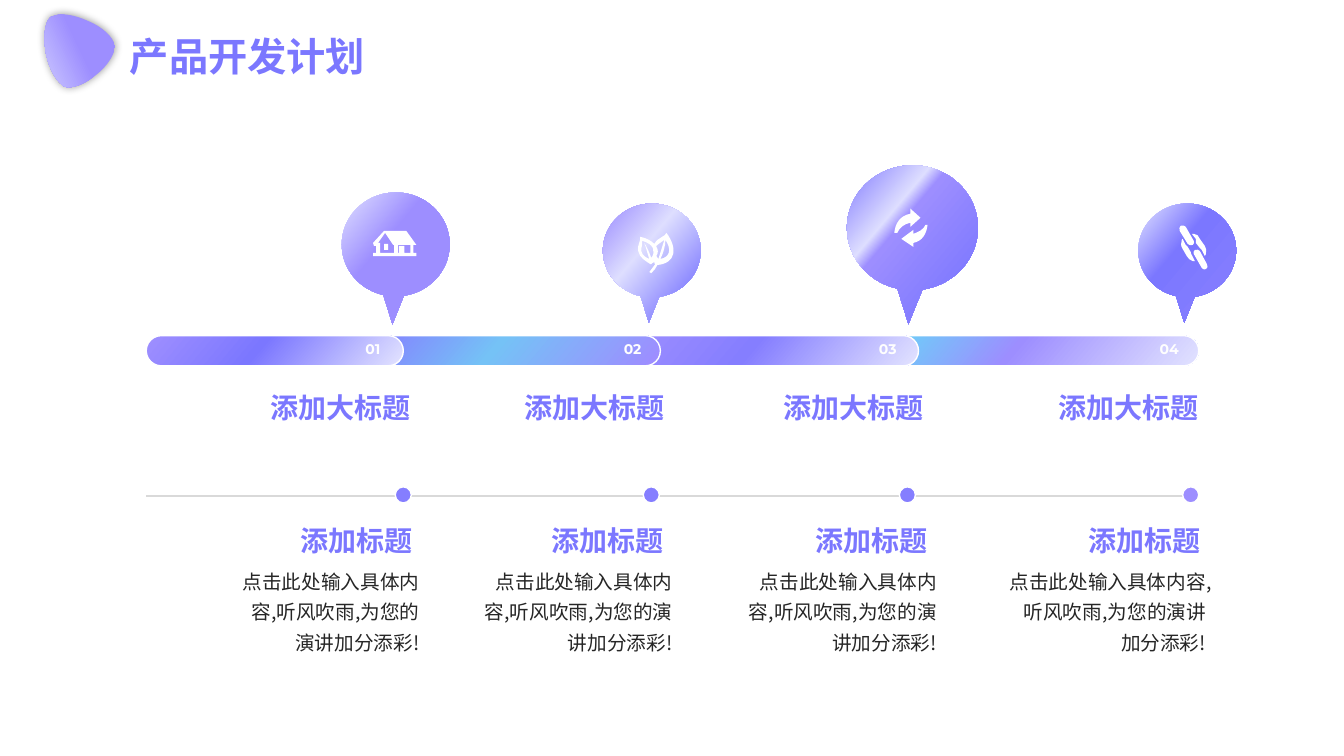
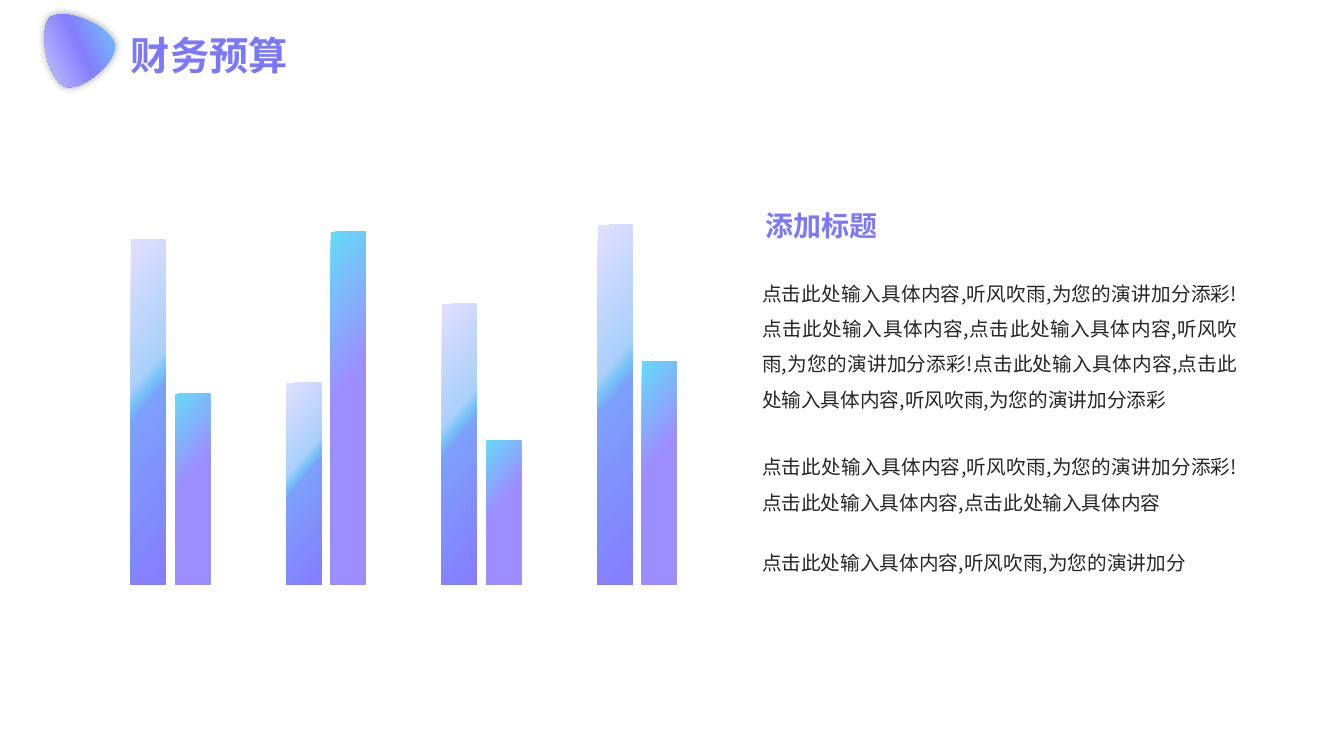
import math
import pptx
import pptx.chart.data
import pptx.dml.color
import pptx.enum.chart
import pptx.enum.shapes
import pptx.enum.text
import pptx.oxml
import pptx.oxml.ns
import pptx.util
from collections import namedtuple

Inches = pptx.util.Inches
Pt = pptx.util.Pt
RGB = pptx.dml.color.RGBColor
Form = pptx.enum.shapes.MSO_SHAPE
Align = pptx.enum.text.PP_ALIGN
qn = pptx.oxml.ns.qn

WHITE = RGB(0xFF, 0xFF, 0xFF)
PEARL = RGB(0xFE, 0xFE, 0xFE)
INK = RGB(0x26, 0x26, 0x26)
BLACK = RGB(0, 0, 0)
GRAY = RGB(0xD9, 0xD9, 0xD9)
INDIGO = RGB(0x7B, 0x77, 0xFF)
IRIS = RGB(0x85, 0x7E, 0xFF)
LILAC = RGB(0x9D, 0x8E, 0xFF)
PALE = RGB(0xDE, 0xDE, 0xFF)
CYAN = RGB(0x65, 0xDA, 0xF7)
SKY = RGB(0x75, 0xC2, 0xF6)
MIST = RGB(0xAA, 0xD0, 0xFB)
AZURE = RGB(0x7D, 0xA0, 0xFB)

SANS = "Noto Sans CJK SC"
DIGIT = "Montserrat"
SPACE = 'xmlns:a="http://schemas.openxmlformats.org/drawingml/2006/main"'
FINE = 20

DROP = [[(71, 31), (72, 38, 65, 51, 52, 61), (42, 69, 32, 73, 25, 73),
         (23, 73, 19, 72, 18, 70), (12, 65, 6, 54, 3, 41), (0, 26, 1, 13, 5, 6),
         (6, 4, 8, 2, 11, 2), (18, -1, 31, 1, 44, 7), (59, 13, 69, 23, 71, 31)]]
HOUSE = [
    [(11, 0), (33, 0), (43, 14), (40, 14), (40, 22), (43, 22), (43, 25),
     (0, 25), (0, 22), (3, 22), (3, 15), (1, 15), (0, 12)],
    [(37, 22), (37, 14), (25, 14), (25, 22), (26, 22), (26, 15), (31, 15), (31, 22)],
    [(21, 22), (21, 14), (20, 14), (12, 2), (5, 12), (7, 12), (7, 22)],
    [(11, 13), (11, 19), (15, 19), (15, 13)]]
LEAF = [
    [(18, 31), (17, 31, 17, 30, 17, 29), (16, 29, 16, 30, 15, 30), (14, 31), (13, 31),
     (10, 29, 2, 25, 1, 18), (0, 11, 4, 8, 3, 4), (9, 5, 14, 8, 17, 11),
     (21, 4, 28, 4, 29, 0), (40, 15, 39, 30, 20, 32), (18, 35, 17, 38, 14, 40),
     (12, 39), (14, 36, 16, 34, 18, 31)],
    [(19, 23), (20, 24, 20, 25, 21, 26), (23, 20, 25, 13, 27, 7),
     (25, 9, 22, 10, 19, 13), (19, 14), (21, 17, 21, 20, 19, 23)],
    [(12, 26), (10, 20, 9, 15, 7, 10), (9, 13, 12, 19, 14, 25), (19, 18, 16, 11, 5, 8),
     (6, 11, 4, 13, 4, 18), (5, 23, 10, 25, 12, 26)],
    [(23, 26), (33, 24, 34, 16, 28, 7), (28, 13, 26, 20, 23, 26)]]
CYCLE = [
    [(26, 9), (16, 18), (16, 14), (10, 15, 5, 19, 3, 24), (0, 24),
     (1, 14, 6, 7, 16, 5), (16, 0)],
    [(19, 25), (19, 21), (7, 30), (19, 38), (19, 34), (28, 32, 32, 25, 33, 16),
     (31, 16), (29, 21, 24, 23, 19, 25)]]
CHAIN = [
    [(13, 9), (15, 9), (18, 9, 20, 11, 21, 14), (26, 21), (27, 23, 28, 26, 27, 29),
     (27, 30, 26, 30, 26, 31), (23, 25), (22, 24, 21, 23, 21, 23), (17, 18), (17, 14)],
    [(16, 25), (15, 26, 14, 28, 15, 29), (23, 43), (24, 44, 26, 45, 27, 44),
     (29, 43, 29, 41, 28, 39), (21, 26), (20, 25, 18, 24, 16, 25)],
    [(2, 1), (1, 2, 0, 4, 1, 6), (9, 19), (10, 20, 12, 21, 14, 20),
     (15, 19, 16, 17, 15, 16), (7, 2), (6, 1, 4, 0, 2, 1)],
    [(16, 36), (13, 30), (13, 30, 12, 29, 12, 27), (9, 22), (8, 22, 8, 21, 7, 20),
     (4, 14), (3, 14, 3, 15, 3, 16), (2, 18, 2, 21, 4, 24), (8, 31),
     (9, 34, 12, 35, 14, 36)]]

Stage = namedtuple("Stage", "bar tint pin glow icon spot mark dot hue head name body")
STAGES = [
    Stage((1.45, 2.55), [(2, LILAC), (44, INDIGO), (97, PALE)],
          (3.39, 1.91, 1.07, 1.03), [(2, PALE), (44, LILAC), (97, LILAC)],
          HOUSE, (3.7, 2.29), 3.36, 3.92, IRIS, (2.58, 1.75), 2.88, (2.24, 2.02)),
    Stage((3.61, 2.94), [(2, IRIS), (44, SKY), (97, LILAC)],
          (5.98, 2.02, 0.97, 0.93), [(2, LILAC), (44, PALE), (97, INDIGO)],
          LEAF, (6.32, 2.31), 5.95, 6.38, IRIS, (5.1, 1.73), 5.37, (4.64, 2.13)),
    Stage((6.16, 2.95), [(2, LILAC), (44, IRIS), (97, PALE)],
          (8.4, 1.64, 1.3, 1.24), [(2, IRIS), (36, PALE), (44, LILAC), (97, INDIGO)],
          CYCLE, (8.87, 2.07), 8.48, 8.92, IRIS, (7.67, 1.66), 7.99, (7.32, 2.07)),
    Stage((8.63, 3.26), [(2, CYAN), (44, LILAC), (97, PALE)],
          (11.29, 2.02, 0.97, 0.93), [(2, PALE), (44, INDIGO), (97, IRIS)],
          CHAIN, (11.69, 2.23), 11.28, 11.73, LILAC, (10.4, 1.65), 10.7, (9.88, 2.18)),
]
INTRO = "点击此处输入具体内容,"
CHEER = "听风吹雨,为您的演讲加分"
WISH = CHEER + "添彩!"
NOTES = [
    (2.63, 1.51, INTRO + WISH + INTRO * 2 + WISH + INTRO * 2 + CHEER + "添彩"),
    (4.35, 0.81, INTRO + WISH + INTRO + INTRO.rstrip(",")),
    (5.3, 0.45, INTRO + CHEER),
]


def blend(part, stops):
    """Fill a shape or a chart series with a slanted gradient."""
    owner = part.format if hasattr(part, "format") else part
    owner.fill.solid()
    props = part._element.spPr
    marks = "".join(f'<a:gs pos="{at * 1000}"><a:srgbClr val="{tone}"/></a:gs>'
                    for at, tone in stops)
    wash = pptx.oxml.parse_xml(
        f'<a:gradFill {SPACE} rotWithShape="1"><a:gsLst>{marks}</a:gsLst>'
        f'<a:lin ang="{40 * 60000}" scaled="0"/></a:gradFill>')
    props.replace(props.find(qn("a:solidFill")), wash)


def text(slide, box, words, size=14, color=INK, bold=False, font=SANS,
         align=Align.LEFT, space=None, wrap=True, middle=False):
    """Add a text box with one formatted paragraph."""
    frame = slide.shapes.add_textbox(*map(Inches, box)).text_frame
    frame.word_wrap = wrap
    frame.auto_size = pptx.enum.text.MSO_AUTO_SIZE.SHAPE_TO_FIT_TEXT
    if middle:
        frame.vertical_anchor = pptx.enum.text.MSO_ANCHOR.MIDDLE
    line = frame.paragraphs[0]
    line.alignment = align
    if space:
        line.line_spacing = space
    run = line.add_run()
    run.text = words
    run.font.size, run.font.bold, run.font.name = Pt(size), bold, font
    run.font.color.rgb = color
    face = pptx.oxml.parse_xml(f'<a:ea {SPACE} typeface="{font}"/>')
    run.font._element.find(qn("a:latin")).addnext(face)


def solid(shape, color):
    """Fill a shape with one colour."""
    shape.fill.solid()
    shape.fill.fore_color.rgb = color


def block(slide, kind, box, edge=None):
    """Add a preset shape without shadow."""
    shape = slide.shapes.add_shape(kind, *map(Inches, box))
    shape.shadow.inherit = False
    if edge is None:
        shape.line.fill.background()
    else:
        shape.line.color.rgb, shape.line.width = edge, Pt(1)
    return shape


def spin(point, hub, turn):
    """Turn a point back around a hub and scale it to pen units."""
    x, y = point[0] - hub[0], point[1] - hub[1]
    c, s = math.cos(math.radians(turn)), math.sin(math.radians(turn))
    return (round((hub[0] + x * c + y * s) * FINE),
            round((hub[1] - x * s + y * c) * FINE))


def bend(shape, loops):
    """Join each three points of a curve step into one Bezier segment."""
    route = shape._element.spPr.find(".//" + qn("a:path"))
    nodes = iter(list(route))
    for loop in loops:
        next(nodes)
        for step in loop[1:]:
            parts = [next(nodes) for _ in range(len(step) // 2)]
            if len(parts) == 3:
                curve = pptx.oxml.parse_xml(f"<a:cubicBezTo {SPACE}/>")
                parts[0].addprevious(curve)
                for part in parts:
                    curve.append(part[0])
                    route.remove(part)
        next(nodes)


def sketch(slide, loops, left, top, hub=(0, 0), turn=0):
    """Draw closed loops, given in hundredths of an inch, as one freeform."""
    tracks = [[spin(step[i:i + 2], hub, turn) for step in loop
               for i in range(0, len(step), 2)] for loop in loops]
    pen = slide.shapes.build_freeform(*tracks[0][0], scale=Inches(0.01) / FINE)
    for i, points in enumerate(tracks):
        if i:
            pen.move_to(*points[0])
        pen.add_line_segments(points[1:], close=True)
    shape = pen.convert_to_shape(Inches(left), Inches(top))
    bend(shape, loops)
    shape.rotation = turn
    shape.shadow.inherit = False
    shape.line.fill.background()
    return shape


def banner(slide, box, words, stops):
    """Place the slide title and its drop."""
    text(slide, box, words, size=28, color=INDIGO, bold=True, wrap=False)
    drop = sketch(slide, DROP, 0.43, 0.15, hub=(30, 38), turn=114.6)
    blend(drop, stops)
    glow = pptx.oxml.parse_xml(
        f'<a:outerShdw {SPACE} blurRad="{Pt(6)}" dist="0" algn="ctr" rotWithShape="0">'
        f'<a:srgbClr val="{BLACK}"><a:alpha val="40000"/></a:srgbClr></a:outerShdw>')
    drop._element.spPr.find(qn("a:effectLst")).append(glow)


def track(slide, top):
    """Draw the bars from right to left so that each covers the next."""
    for stage in reversed(STAGES):
        left, width = stage.bar
        bar = block(slide, Form.ROUNDED_RECTANGLE, (left, top, width, 0.3), WHITE)
        bar.adjustments[0] = 0.5
        blend(bar, stage.tint)


def rule(slide, left, right, top):
    """Draw the thin line below the bars."""
    line = slide.shapes.add_connector(
        pptx.enum.shapes.MSO_CONNECTOR.STRAIGHT,
        *map(Inches, (left, top, right, top)))
    line.line.color.rgb, line.line.width = GRAY, Pt(1)
    line._element.spPr.append(pptx.oxml.parse_xml(f"<a:effectLst {SPACE}/>"))


def column(slide, stage, count, top):
    """Place the pin, number, dot and texts of one stage."""
    pin = block(slide, Form.OVAL_CALLOUT, stage.pin)
    pin.adjustments[0], pin.adjustments[1] = -0.03, 0.77
    blend(pin, stage.glow)
    solid(sketch(slide, stage.icon, *stage.spot), WHITE)
    text(slide, (stage.mark, top, 0.51, 0.27), f"{count:02}", size=10, color=PEARL,
         bold=True, font=DIGIT, align=Align.RIGHT, middle=True)
    solid(block(slide, Form.OVAL, (stage.dot, top + 1.5, 0.16, 0.16), WHITE), stage.hue)
    left, width = stage.head
    text(slide, (left, top + 0.5, width, 0.44), "添加大标题",
         size=20, color=INDIGO, bold=True)
    left, width = stage.body
    text(slide, (left, top + 2.2, width, 1.02), INTRO + WISH,
         align=Align.RIGHT, space=1.3)
    text(slide, (stage.name, top + 1.81, 1.5, 0.44), "添加标题",
         size=20, color=INDIGO, bold=True)


def graph(slide, box):
    """Add the clustered column chart."""
    data = pptx.chart.data.CategoryChartData()
    data.categories = ["1", "2", "3", "4"]
    data.add_series("Series 1", (96, 56, 78, 100))
    data.add_series("Series 2", (53, 98, 40, 62))
    kind = pptx.enum.chart.XL_CHART_TYPE.COLUMN_CLUSTERED
    chart = slide.shapes.add_chart(kind, *map(Inches, box), data).chart
    chart.has_legend = chart.has_title = False
    chart.font.name, chart.font.size = SANS, Pt(10)
    chart.font.color.rgb = BLACK
    chart.category_axis.visible = False
    axis = chart.value_axis
    axis.visible = axis.has_major_gridlines = False
    axis.minimum_scale, axis.maximum_scale = 0, 110
    plot = chart.plots[0]
    plot.gap_width, plot.overlap, plot.vary_by_categories = 219, -27, False
    blend(plot.series[0], [(2, PALE), (39, MIST), (44, SKY), (48, AZURE), (97, IRIS)])
    blend(plot.series[1], [(0, CYAN), (44, LILAC), (100, LILAC)])
    area = chart._chartSpace.chart.plotArea
    for old in area.findall(qn("c:layout")):
        area.remove(old)
    sides = "".join(f'<c:{key} val="{value}"/>' for key, value in (
        ("layoutTarget", "inner"), ("xMode", "edge"), ("yMode", "edge"),
        ("x", 0.02), ("y", 0.03), ("w", 0.96), ("h", 0.95)))
    area.insert(0, pptx.oxml.parse_xml(
        '<c:layout xmlns:c="http://schemas.openxmlformats.org/drawingml/2006/chart">'
        f"<c:manualLayout>{sides}</c:manualLayout></c:layout>"))


def plan(slide):
    """Build the development plan slide."""
    track(slide, 3.33)
    rule(slide, 1.45, 11.89, 4.92)
    for count, stage in enumerate(STAGES, 1):
        column(slide, stage, count, 3.33)
    banner(slide, (1.19, 0.27, 2.56, 0.57), "产品开发计划",
           [(2, LILAC), (44, LILAC), (97, PALE)])


def budget(slide):
    """Build the budget slide."""
    graph(slide, (0.79, 1.75, 6.43, 4.13))
    text(slide, (7.49, 2.02, 1.5, 0.44), "添加标题", size=20, color=INDIGO, bold=True)
    for top, height, words in NOTES:
        text(slide, (7.46, top, 4.91, height), words, align=Align.JUSTIFY, space=1.5)
    banner(slide, (1.2, 0.26, 1.77, 0.57), "财务预算",
           [(2, CYAN), (44, IRIS), (97, PALE)])


def main():
    """Build and save the deck."""
    deck = pptx.Presentation()
    deck.slide_width, deck.slide_height = Inches(13.33), Inches(7.5)
    for build in (plan, budget):
        build(deck.slides.add_slide(deck.slide_layouts[6]))
    deck.save("out.pptx")


if __name__ == "__main__":
    main()
